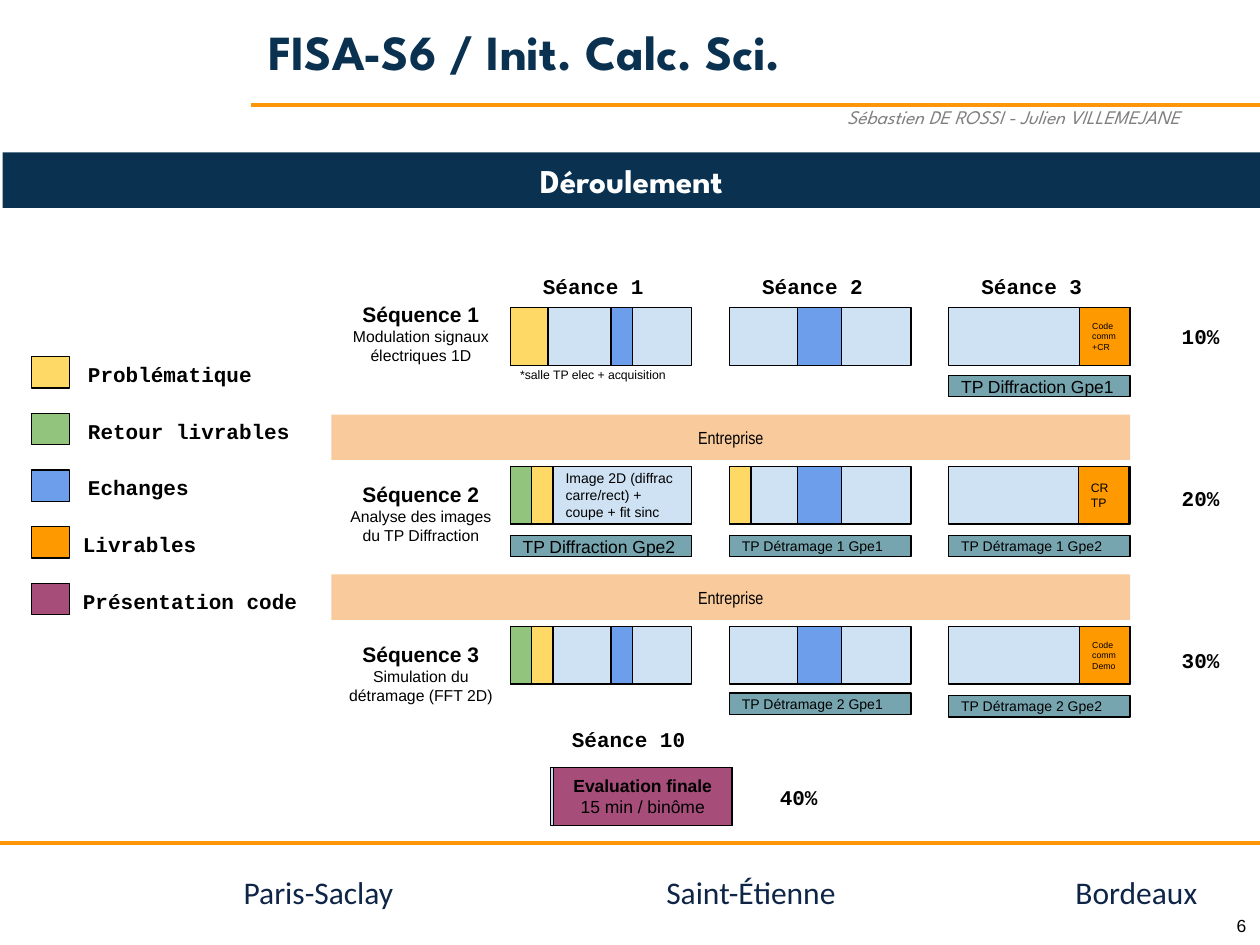
"""Build the course schedule slide: three sequences of three sessions and a final test."""
from lxml import etree
from pptx import Presentation, util as u
from pptx.dml.color import RGBColor
from pptx.enum import shapes, text
from pptx.oxml.ns import qn

HUES = {
    "navy": "0A3250", "ink": "0F2548", "line": "FF960A", "grey": "7F7F7F",
    "white": "FFFFFF", "black": "000000", "sky": "CFE2F3", "gold": "FFD966",
    "green": "93C47D", "blue": "6D9EEB", "orange": "FF9900", "plum": "A64D79",
    "peach": "F9CB9C", "teal": "76A5AF",
}
FONTS = {
    "title": {"name": "League Spartan", "size": 28, "bold": True, "hue": "navy"},
    "band": {"name": "League Spartan", "size": 19, "bold": True, "hue": "white"},
    "staff": {"name": "League Spartan", "size": 11, "italic": True, "hue": "grey"},
    "city": {"name": "Calibri", "size": 18, "hue": "ink"},
    "mono": {"name": "Courier New", "size": 12, "bold": True},
    "head": {"name": "Arial", "size": 12, "bold": True},
    "strong": {"name": "Arial", "size": 10, "bold": True},
    "body": {"name": "Arial", "size": 10},
    "topic": {"name": "Arial", "size": 9},
    "small": {"name": "Arial", "size": 8},
    "note": {"name": "Arial", "size": 7},
    "tiny": {"name": "Arial", "size": 5},
    "firm": {"name": "Arial Narrow", "size": 10},
}
LEFT, MID, RIGHT = text.PP_ALIGN.LEFT, text.PP_ALIGN.CENTER, text.PP_ALIGN.RIGHT

deck = Presentation()
deck.slide_width, deck.slide_height = u.Inches(10), u.Inches(7.5)
slide = deck.slides.add_slide(deck.slide_layouts[6])


def color(key):
    return RGBColor.from_string(HUES[key])


def box(x, y, w, h, rows=(), fill=None, edge=True, side=LEFT, pad=0.1, mid=False):
    area = [u.Inches(v) for v in (x, y, w, h)]
    if fill:
        item = slide.shapes.add_shape(shapes.MSO_SHAPE.RECTANGLE, *area)
        item.shadow.inherit = False
        item.fill.solid()
        item.fill.fore_color.rgb = color(fill)
        if edge:
            item.line.color.rgb = color("black")
            item.line.width = u.Pt(0.75)
        else:
            item.line.fill.background()
    else:
        item = slide.shapes.add_textbox(*area)
    frame = item.text_frame
    anchor = text.MSO_ANCHOR.MIDDLE if fill or mid else text.MSO_ANCHOR.TOP
    look = {"word_wrap": True, "vertical_anchor": anchor,
            "margin_left": u.Inches(0.1), "margin_right": u.Inches(0.1),
            "margin_top": u.Inches(pad), "margin_bottom": u.Inches(pad)}
    for key, val in look.items():
        setattr(frame, key, val)
    for n, (words, style) in enumerate(rows):
        para = frame.add_paragraph() if n else frame.paragraphs[0]
        para.alignment = side
        run = para.add_run()
        run.text = words
        form = {"bold": False, **FONTS[style]}
        run.font.color.rgb = color(form.pop("hue", "black"))
        form["size"] = u.Pt(form["size"])
        for key, val in form.items():
            setattr(run.font, key, val)


for x, y in ((1.99, 0.83), (0, 6.69)):
    rule = slide.shapes.add_connector(
        shapes.MSO_CONNECTOR.STRAIGHT, u.Inches(x), u.Inches(y), u.Inches(10), u.Inches(y))
    rule.line.color.rgb = color("line")
    rule.line.width = u.Pt(2.25)
    etree.SubElement(rule._element.spPr, qn("a:effectLst"))

box(2.03, 0.03, 7.97, 0.75, [("FISA-S6 / Init. Calc. Sci.", "title")], pad=0.05, mid=True)
box(6.09, 0.83, 3.91, 0.2, [("Sébastien DE ROSSI - Julien VILLEMEJANE", "staff")],
    side=MID, pad=0.05, mid=True)
box(0.02, 1.21, 9.98, 0.44, [("Déroulement", "band")], "navy", False, MID, 0.05)
for x, w, city in ((1.68, 1.54, "Paris-Saclay"), (4.97, 1.76, "Saint-Étienne"),
                   (8.28, 1.32, "Bordeaux")):
    box(x, 6.88, w, 0.4, [(city, "city")], side=RIGHT, pad=0.05)
box(9.55, 7.21, 0.44, 0.29, [("6", "body")], side=RIGHT, pad=0.05)

KEYS = [(0.6, "gold", "Problématique"), (0.6, "green", "Retour livrables"),
        (0.6, "blue", "Echanges"), (0.56, "orange", "Livrables"),
        (0.56, "plum", "Présentation code")]
for n, (x, fill, name) in enumerate(KEYS):
    y = 2.83 + 0.45 * n
    box(0.25, y, 0.3, 0.25, fill=fill)
    box(x, y - 0.06, 2.2, 0.36, [(name, "mono")])

COLS = [4.05, 5.79, 7.53]
WIDE, HIGH = 1.44, 0.46
for n, x in enumerate(COLS, 1):
    box(x + 0.16, 2.07, 1.12, 0.36, [(f"Séance {n}", "mono")])

IMAGE = [("Image 2D (diffrac carre/rect) + coupe + fit sinc", "small")]
SEQS = [
    (2.44, 2.29, 2.47, "Modulation signaux électriques 1D", "10%",
     [(0, 0, 0.3, "gold", ()), (0, 0.8, 0.17, "blue", ()), (1, 0.54, 0.35, "blue", ()),
      (2, 1.04, 0.4, "orange", [("Code comm", "tiny"), ("+CR", "tiny")])],
     [(2, 2.98, "TP Diffraction Gpe1", "body")]),
    (3.7, 3.72, 3.75, "Analyse des images du TP Diffraction", "20%",
     [(0, 0, 0.17, "green", ()), (0, 0.17, 0.17, "gold", ()), (0, 0.34, 1.1, "sky", IMAGE),
      (1, 0, 0.17, "gold", ()), (1, 0.54, 0.35, "blue", ()),
      (2, 1.03, 0.4, "orange", [("CR TP", "note")])],
     [(0, 4.25, "TP Diffraction Gpe2", "body"), (1, 4.25, "TP Détramage 1 Gpe1", "small"),
      (2, 4.25, "TP Détramage 1 Gpe2", "small")]),
    (4.97, 4.99, 5.04, "Simulation du détramage (FFT 2D)", "30%",
     [(0, 0, 0.17, "green", ()), (0, 0.17, 0.17, "gold", ()), (0, 0.8, 0.17, "blue", ()),
      (1, 0.54, 0.35, "blue", ()),
      (2, 1.04, 0.4, "orange", [("Code comm", "tiny"), ("Demo", "tiny")])],
     [(1, 5.5, "TP Détramage 2 Gpe1", "small"), (2, 5.52, "TP Détramage 2 Gpe2", "small")]),
]
for n, (top, head, mark, topic, share, parts, labs) in enumerate(SEQS, 1):
    box(2.63, head, 1.42, 0.72, [(f"Séquence {n}", "head"), (topic, "topic")], side=MID)
    for x in COLS:
        box(x, top, WIDE, HIGH, fill="sky")
    for col, shift, w, fill, rows in parts:
        box(COLS[col] + shift, top, w, HIGH, rows, fill)
    for col, y, name, style in labs:
        box(COLS[col], y, WIDE, 0.17, [(name, style)], "teal")
    box(9.28, mark, 0.58, 0.36, [(share, "mono")])

for y in (3.29, 4.56):
    box(2.63, y, 6.34, 0.36, [("Entreprise", "firm")], "peach", False, MID)
box(4.03, 2.86, WIDE, 0.25, [("*salle TP elec + acquisition", "note")])

box(4.44, 5.67, 1.12, 0.36, [("Séance 10", "mono")])
box(4.37, 6.09, WIDE, HIGH, fill="sky")
box(4.39, 6.09, 1.42, HIGH, [("Evaluation finale", "strong"), ("15 min / binôme", "body")],
    "plum", side=MID)
box(6.09, 6.13, 0.58, 0.36, [("40%", "mono")])

deck.save("out.pptx")
